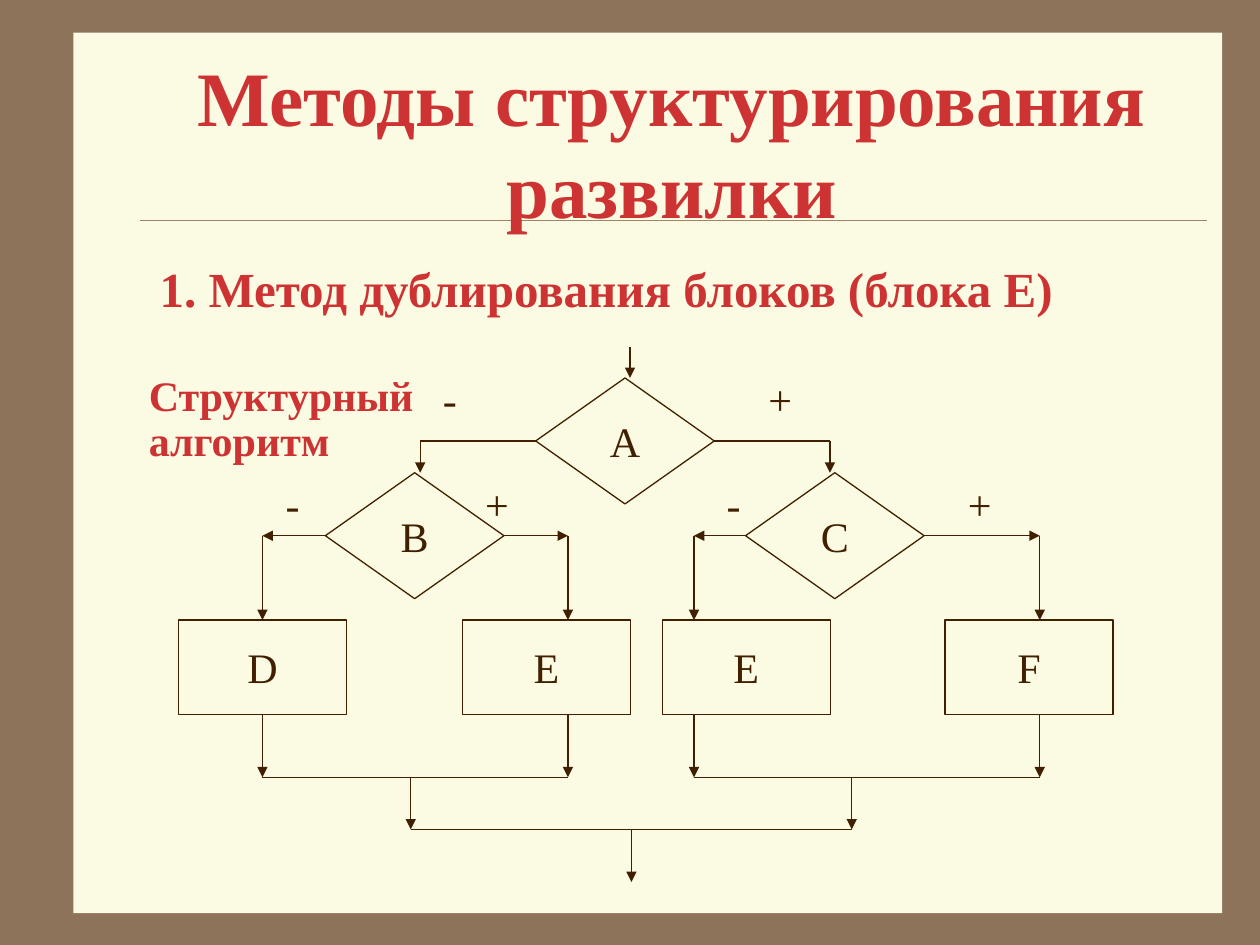
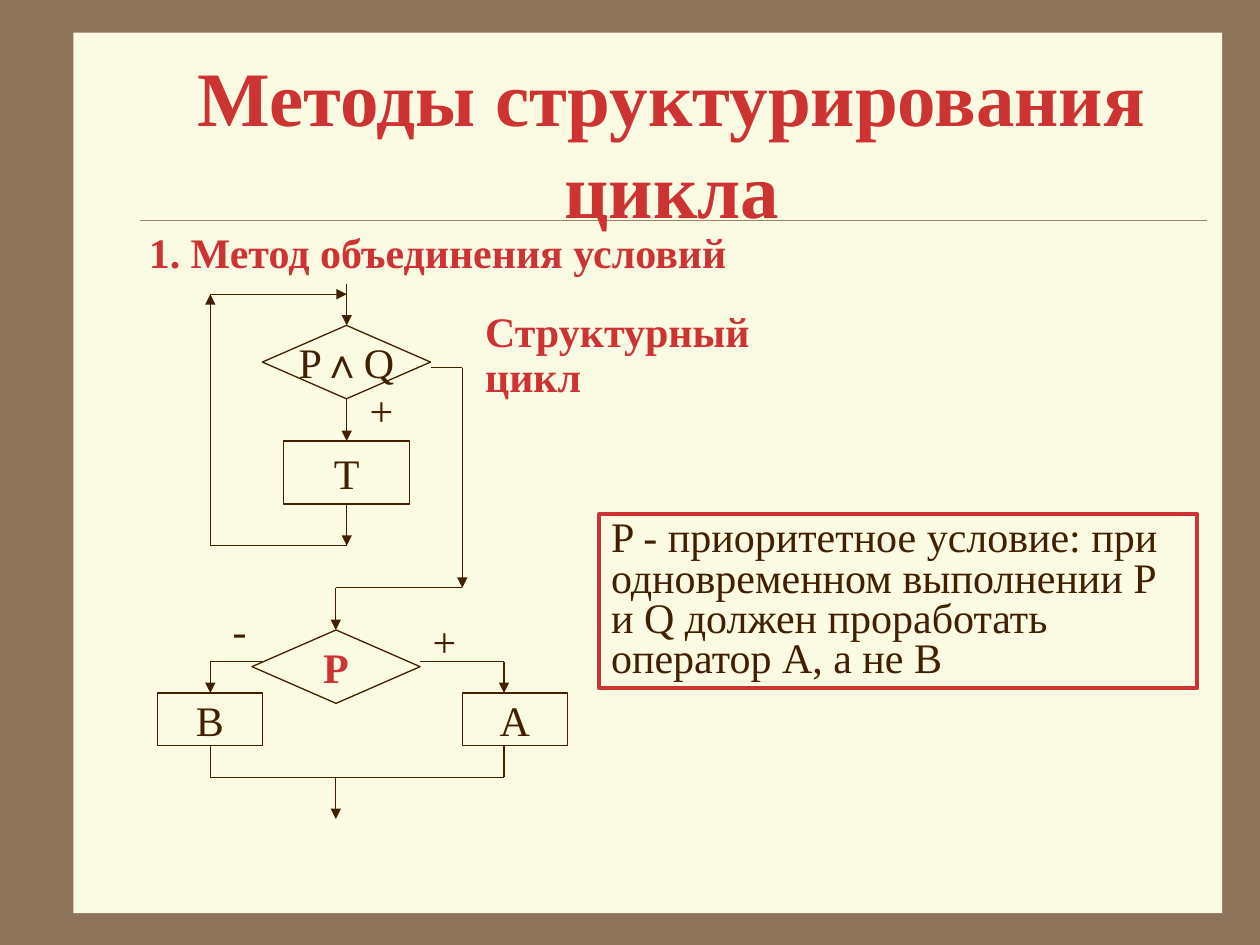
from dataclasses import dataclass

from lxml.etree import SubElement
from pptx import Presentation
from pptx.dml.color import RGBColor
from pptx.enum.shapes import MSO_CONNECTOR, MSO_SHAPE
from pptx.enum.text import MSO_ANCHOR, PP_ALIGN
from pptx.oxml.ns import qn
from pptx.util import Cm, Pt


@dataclass(frozen=True)
class Theme:
    frame: RGBColor = RGBColor(0x8C, 0x73, 0x5A)
    paper: RGBColor = RGBColor(0xFB, 0xFA, 0xE2)
    rule: RGBColor = RGBColor(0xA0, 0x83, 0x66)
    ink: RGBColor = RGBColor(0x40, 0x20, 0x00)
    accent: RGBColor = RGBColor(0xCD, 0x33, 0x33)
    font: str = "Times New Roman"
    symbol_font: str = "Arial"
    title: int = 44
    heading: int = 28
    body: int = 24
    hairline: float = 0.25
    stroke: float = 0.75
    border: float = 2.25


THEME = Theme()


def style_paragraph(paragraph, color=THEME.ink, size=THEME.body, bold=False):
    font = paragraph.font
    font.name, font.size, font.bold = THEME.font, Pt(size), bold
    font.color.rgb = color


class Region:
    """A box on a slide; its parts are placed in cm from its top left corner."""

    def __init__(self, slide, left=0, top=0):
        self.shapes = slide.shapes
        self.left, self.top = left, top

    def at(self, x, y):
        return Cm(self.left + x), Cm(self.top + y)

    def shape(self, kind, x, y, width, height, fill=None, line=None, weight=THEME.stroke):
        shape = self.shapes.add_shape(kind, *self.at(x, y), Cm(width), Cm(height))
        shape.shadow.inherit = False
        if fill is None:
            shape.fill.background()
        else:
            shape.fill.solid()
            shape.fill.fore_color.rgb = fill
        if line is None:
            shape.line.fill.background()
        else:
            shape.line.color.rgb = line
            shape.line.width = Pt(weight)
        return shape

    def node(self, kind, x, y, width, height, *words, **style):
        """Flowchart block; each word is a run of its label."""
        block = self.shape(kind, x, y, width, height, THEME.paper, THEME.ink)
        frame = block.text_frame
        frame.word_wrap = False
        frame.vertical_anchor = MSO_ANCHOR.MIDDLE
        label = frame.paragraphs[0]
        label.alignment = PP_ALIGN.CENTER
        style_paragraph(label, **style)
        for word in words:
            run = label.add_run()
            run.text = word
            if word == "∧":
                run.font.name = THEME.symbol_font

    def decision(self, *args, **style):
        self.node(MSO_SHAPE.FLOWCHART_DECISION, *args, **style)

    def process(self, *args):
        self.node(MSO_SHAPE.FLOWCHART_PROCESS, *args)

    def text(self, x, y, width, height, words, spacing=1.0, **style):
        box = self.shapes.add_textbox(*self.at(x, y), Cm(width), Cm(height))
        box.text_frame.word_wrap = True
        paragraph = box.text_frame.paragraphs[0]
        paragraph.text = words
        paragraph.line_spacing = spacing
        style_paragraph(paragraph, **style)
        return box

    def sign(self, x, y, mark):
        self.text(x, y, 1.2, 1.27, mark)

    def segment(self, start, end, arrow=False, color=THEME.ink, weight=THEME.stroke):
        line = self.shapes.add_connector(
            MSO_CONNECTOR.STRAIGHT, *self.at(*start), *self.at(*end))
        line.line.color.rgb = color
        line.line.width = Pt(weight)
        if arrow:
            SubElement(line.line._get_or_add_ln(), qn("a:tailEnd"), type="triangle")
        SubElement(line._element.spPr, qn("a:effectLst"))

    def route(self, *points, arrow=True, every=False):
        """Bent line with an arrowhead at its end, or on every segment."""
        for index, (start, end) in enumerate(zip(points, points[1:]), 2):
            self.segment(start, end, every or (arrow and index == len(points)))


def add_titled_slide(deck, title):
    slide = deck.slides.add_slide(deck.slide_layouts[6])
    slide.background.fill.solid()
    slide.background.fill.fore_color.rgb = THEME.frame
    page = Region(slide)
    page.shape(MSO_SHAPE.RECTANGLE, 1.48, 0.66, 23.16, 17.75, THEME.paper)
    page.segment((2.82, 4.44), (24.33, 4.44), color=THEME.rule, weight=THEME.hairline)
    heading = page.text(2.75, 1.27, 21.59, 3.18, title,
                        color=THEME.accent, size=THEME.title, bold=True)
    heading.text_frame.vertical_anchor = MSO_ANCHOR.MIDDLE
    heading.text_frame.paragraphs[0].alignment = PP_ALIGN.CENTER
    return slide


def draw_branching(region):
    """Condition A over conditions B and C, with block E in both branches."""
    diamond_w, diamond_h = 3.6, 2.54
    block_w, block_h = 3.39, 1.9
    root_left, root_top, second_top = 7.2, 0.63, 2.54
    root_mid, second_mid = root_top + diamond_h / 2, second_top + diamond_h / 2
    block_top, join_y, merge_y, end_y = 5.51, 8.68, 9.73, 10.79

    region.route((9.1, 0), (9.1, root_top))
    region.decision(root_left, root_top, diamond_w, diamond_h, "A")
    for start, turn, sign_x, mark in ((root_left, 4.87, 5.08, "-"),
                                      (root_left + diamond_w, 13.13, 11.64, "+")):
        region.route((start, root_mid), (turn, root_mid), (turn, second_top))
        region.sign(sign_x, 0.41, mark)

    # condition, its left, merge x, then (block, its left, line x, sign x) per branch
    halves = (
        ("B", 2.96, 4.68, (("D", 0, 1.69, 1.91), ("E", 5.72, 7.85, 5.93))),
        ("C", 11.43, 13.57, (("E", 9.75, 10.39, 10.8), ("F", 15.45, 17.36, 15.66))),
    )
    for condition, left, merge_x, branches in halves:
        region.decision(left, second_top, diamond_w, diamond_h, condition)
        corners = (left, left + diamond_w)
        for corner, mark, (block, block_left, x, sign_x) in zip(corners, "-+", branches):
            region.process(block_left, block_top, block_w, block_h, block)
            region.route((corner, second_mid), (x, second_mid), (x, block_top), every=True)
            region.route((x, block_top + block_h), (x, join_y))
            region.sign(sign_x, second_top, mark)
        region.route(*((branch[2], join_y) for branch in branches), arrow=False)
        region.route((merge_x, join_y), (merge_x, merge_y))
    region.route(*((half[2], merge_y) for half in halves), arrow=False)
    region.route((9.13, merge_y), (9.13, end_y))


def draw_loop(region):
    """Loop on P ∧ Q around operator T, leaving towards the check of P."""
    axis, back_x, exit_x, check_x = 3.82, 1.07, 6.15, 3.6
    loop_top, loop_bottom = 0.21, 5.28
    region.route((axis, 0), (axis, 0.84))
    region.decision(2.12, 0.84, 3.39, 1.48, "P", "∧", "Q")
    region.route((axis, 2.32), (axis, 3.17))
    region.sign(4.03, 1.9, "+")
    region.process(2.55, 3.17, 2.54, 1.27, "T")
    region.route((axis, 4.44), (axis, loop_bottom))
    region.route((axis, loop_bottom), (back_x, loop_bottom),
                 (back_x, loop_top))
    region.route((back_x, loop_top), (axis, loop_top))
    region.route((5.51, 1.69), (exit_x, 1.69), (exit_x, 6.13))
    region.route((exit_x, 6.13), (check_x, 6.13), (check_x, 6.98))


def draw_priority_check(region):
    """Check of P that selects operator B or A."""
    axis, arm_y, block_top, join_y = 3.6, 7.62, 8.25, 9.95
    block_w, block_h = 2.12, 1.06
    region.decision(1.91, 6.98, 3.39, 1.48, "P", color=THEME.accent, bold=True)
    for block, left, x, start in (("B", 0, 1.07, 2.12), ("A", 6.15, 6.99, 5.3)):
        region.route((start, arm_y), (x, arm_y), (x, block_top))
        region.process(left, block_top, block_w, block_h, block)
        region.route((x, block_top + block_h), (x, join_y), (axis, join_y), arrow=False)
    region.sign(1.27, 6.34, "-")
    region.sign(5.3, 6.56, "+")
    region.route((axis, join_y), (axis, 10.79))


def draw_priority_note(region):
    note = region.shape(MSO_SHAPE.RECTANGLE, 0, 0, 12.07, 3.5,
                        line=THEME.accent, weight=THEME.border)
    frame = note.text_frame
    frame.word_wrap = True
    frame.vertical_anchor = MSO_ANCHOR.TOP
    rule = frame.paragraphs[0]
    rule.text = ("P - приоритетное условие: при одновременном выполнении P и Q "
                 "должен проработать оператор А, а не В")
    rule.alignment = PP_ALIGN.LEFT
    rule.line_spacing = 0.8
    style_paragraph(rule)


def build_branching_slide(deck):
    slide = add_titled_slide(deck, "Методы структурирования развилки")
    page = Region(slide)
    page.text(2.97, 5.08, 21.16, 1.45, "1. Метод дублирования блоков (блока Е)",
              color=THEME.accent, size=THEME.heading, bold=True)
    draw_branching(Region(slide, 3.6, 6.99))
    page.text(2.75, 7.44, 7.83, 2.08, "Структурный алгоритм", 0.9,
              color=THEME.accent, bold=True)


def build_loop_slide(deck):
    slide = add_titled_slide(deck, "Методы структурирования цикла")
    page = Region(slide)
    page.text(2.75, 4.44, 20.75, 1.27, "1. Метод объединения условий",
              color=THEME.accent, bold=True)
    flowchart = Region(slide, 3.17, 5.72)
    draw_loop(flowchart)
    draw_priority_check(flowchart)
    page.text(9.53, 6.14, 7.83, 2.08, "Структурный цикл", 0.9,
              color=THEME.accent, bold=True)
    draw_priority_note(Region(slide, 12.07, 10.37))


def main():
    deck = Presentation()
    deck.slide_width, deck.slide_height = Cm(25.4), Cm(19.05)
    build_branching_slide(deck)
    build_loop_slide(deck)
    deck.save("out.pptx")


if __name__ == "__main__":
    main()
